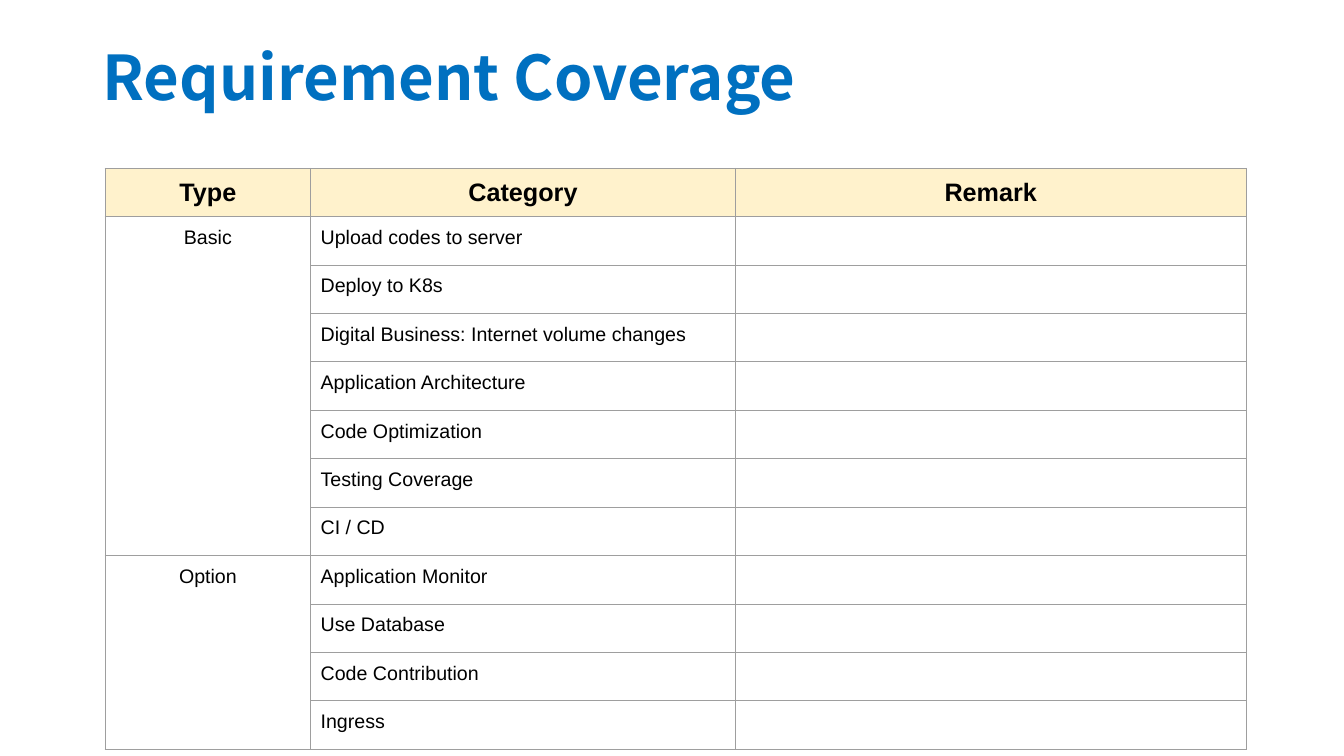
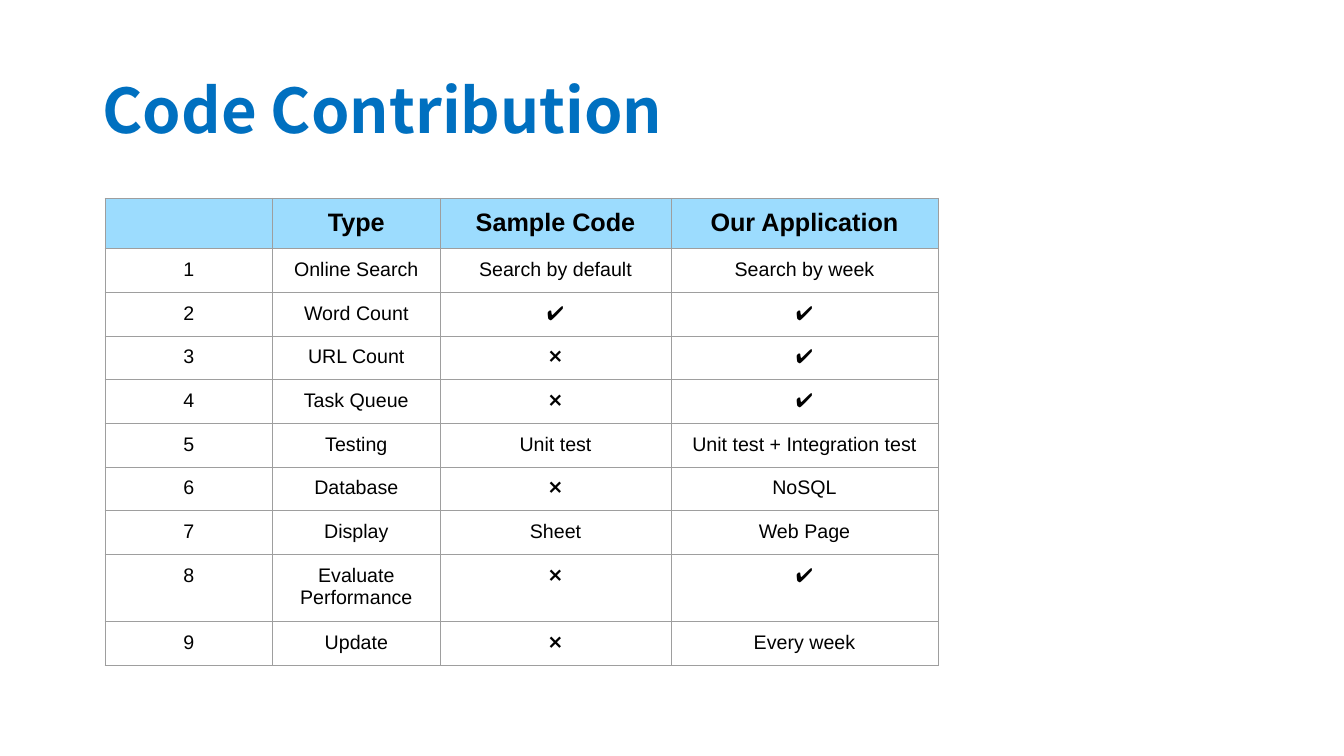
from pptx import Presentation
from pptx.dml.color import RGBColor
from pptx.enum.text import MSO_ANCHOR, MSO_AUTO_SIZE, PP_ALIGN as Align
from pptx.oxml import parse_xml
from pptx.oxml.ns import nsdecls
from pptx.util import Cm, Pt

TITLE_FORMAT = {"name": "Noto Sans CJK TC", "size": Pt(44), "bold": True}
HEADER_FORMAT = {"name": "Arial", "size": Pt(18), "bold": True}
BODY_FORMAT = {"name": "Arial", "size": Pt(14), "bold": False}
TITLE_COLOUR, TEXT_COLOUR, BORDER_COLOUR = "0070C0", "000000", "9E9E9E"
TABLE_LEFT, INSET = Cm(2.65), Cm(0.25)
YES, NO = "✔", "❌"

REQUIREMENTS = {
    "Basic": [
        "Upload codes to server",
        "Deploy to K8s",
        "Digital Business: Internet volume changes",
        "Application Architecture",
        "Code Optimization",
        "Testing Coverage",
        "CI / CD",
    ],
    "Option": ["Application Monitor", "Use Database", "Code Contribution", "Ingress"],
}
CONTRIBUTIONS = [
    ("Online Search", "Search by default", "Search by week"),
    ("Word Count", YES, YES),
    ("URL Count", NO, YES),
    ("Task Queue", NO, YES),
    ("Testing", "Unit test", "Unit test + Integration test"),
    ("Database", NO, "NoSQL"),
    ("Display", "Sheet", "Web Page"),
    ("Evaluate Performance", NO, YES),
    ("Update", NO, "Every week"),
]


def set_format(font, values, colour):
    """Apply a dict of font values and a hex colour."""
    for name, value in values.items():
        setattr(font, name, value)
    font.color.rgb = RGBColor.from_string(colour)


def add_titled_slide(presentation, text, height):
    """Add a title-only slide with its title placed and formatted."""
    slide = presentation.slides.add_slide(presentation.slide_layouts[5])
    title = slide.shapes.title
    title.left, title.top, title.width, title.height = Cm(2.33), Cm(1.01), Cm(29.21), height
    frame = title.text_frame
    frame.text = text
    frame.auto_size = MSO_AUTO_SIZE.NONE
    frame.vertical_anchor = MSO_ANCHOR.MIDDLE
    paragraph = frame.paragraphs[0]
    paragraph.alignment = Align.LEFT
    paragraph.line_spacing = 0.9
    set_format(paragraph.runs[0].font, TITLE_FORMAT, TITLE_COLOUR)
    return slide


def add_borders(cell):
    """Draw a thin line on all four sides of a cell."""
    properties = cell._tc.get_or_add_tcPr()
    for side in ("lnL", "lnR", "lnT", "lnB"):
        properties.append(parse_xml(
            f'<a:{side} {nsdecls("a")} w="{Pt(0.75)}"><a:solidFill>'
            f'<a:srgbClr val="{BORDER_COLOUR}"/></a:solidFill></a:{side}>'
        ))


def fill_cell(cell, text, values, alignment, fill=None):
    """Give a cell its borders, fill and formatted text."""
    add_borders(cell)
    if fill:
        cell.fill.solid()
        cell.fill.fore_color.rgb = RGBColor.from_string(fill)
    else:
        cell.fill.background()
    if text:
        for side in ("left", "right", "top", "bottom"):
            setattr(cell, f"margin_{side}", INSET)
        cell.text = text
        paragraph = cell.text_frame.paragraphs[0]
        paragraph.alignment = alignment
        set_format(paragraph.runs[0].font, values, TEXT_COLOUR)


def add_grid(slide, top, rows, widths, heights, header_fill, alignments):
    """Add a bordered table whose first row is a filled header."""
    frame = slide.shapes.add_table(
        len(rows), len(widths), TABLE_LEFT, top, Cm(sum(widths)), Cm(sum(heights))
    )
    table = frame.table
    table.horz_banding = table.first_row = False
    for column, width in zip(table.columns, widths):
        column.width = Cm(width)
    for row, height in zip(table.rows, heights):
        row.height = Cm(height)
    for row_index, texts in enumerate(rows):
        for column_index, text in enumerate(texts):
            cell = table.cell(row_index, column_index)
            if row_index == 0:
                fill_cell(cell, text, HEADER_FORMAT, Align.CENTER, header_fill)
            else:
                fill_cell(cell, text, BODY_FORMAT, alignments[column_index])
    return table


def add_coverage_slide(presentation):
    """Build the table of requirements grouped by type."""
    slide = add_titled_slide(presentation, "Requirement Coverage", Cm(2.06))
    rows = [("Type", "Category", "Remark")]
    for group, categories in REQUIREMENTS.items():
        for index, category in enumerate(categories):
            rows.append(("" if index else group, category, ""))
    table = add_grid(
        slide, Cm(4.24), rows, [5.18, 10.7, 12.88], [1.22] * len(rows), "FFF2CC",
        [Align.CENTER, Align.LEFT, Align.LEFT],
    )
    first = 1
    for categories in REQUIREMENTS.values():
        last = first + len(categories) - 1
        table.cell(first, 0).merge(table.cell(last, 0))
        first = last + 1


def add_contribution_slide(presentation):
    """Build the comparison of the sample code and the application."""
    slide = add_titled_slide(presentation, "Code Contribution", Cm(3.68))
    rows = [("", "Type", "Sample Code", "Our Application")]
    rows += [(str(number), *texts) for number, texts in enumerate(CONTRIBUTIONS, 1)]
    heights = [1.27] + [1.7 if kind == "Evaluate Performance" else 1.1 for kind, *_ in CONTRIBUTIONS]
    add_grid(
        slide, Cm(5), rows, [4.22, 4.22, 5.82, 6.73], heights, "9CDCFE", [Align.CENTER] * 4
    )


def main():
    """Create and save the presentation."""
    presentation = Presentation()
    presentation.slide_width, presentation.slide_height = Cm(33.87), Cm(19.05)
    add_coverage_slide(presentation)
    add_contribution_slide(presentation)
    presentation.save("out.pptx")


if __name__ == "__main__":
    main()
